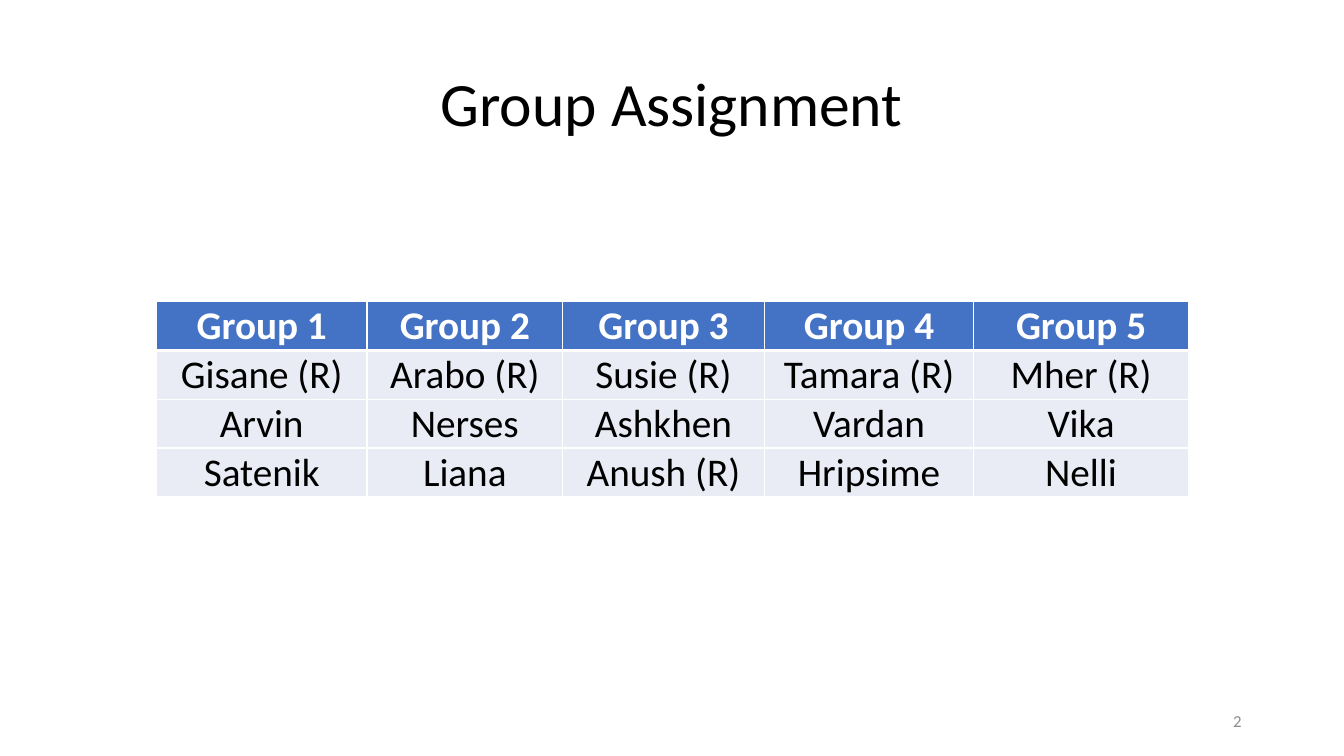
import pptx
import pptx.dml.color
import pptx.enum.text
import pptx.oxml
import pptx.oxml.ns
import pptx.util
from pptx.util import Cm

COLORS = {
    "black": "000000",
    "white": "FFFFFF",
    "header": "4472C4",
    "body": "E9EBF5",
    "page_number": "8C8C8C",
}
FONT = "Calibri"
GROUPS = [
    ["Group 1", "Group 2", "Group 3", "Group 4", "Group 5"],
    ["Gisane (R)", "Arabo (R)", "Susie (R)", "Tamara (R)", "Mher (R)"],
    ["Arvin", "Nerses", "Ashkhen", "Vardan", "Vika"],
    ["Satenik", "Liana", "Anush (R)", "Hripsime", "Nelli"],
]
GROUP_WIDTHS = [5.31, 4.93, 5.08, 5.28, 5.41]
ROW_HEIGHT = 1.23


def rgb(name):
    return pptx.dml.color.RGBColor.from_string(COLORS[name])


def write(frame, text, size=28, color="black", bold=False, align="CENTER", spacing=1.0):
    paragraph = frame.paragraphs[0]
    paragraph.alignment = getattr(pptx.enum.text.PP_ALIGN, align)
    paragraph.line_spacing = spacing
    run = paragraph.add_run()
    run.text = text
    run.font.name = FONT
    run.font.size = pptx.util.Pt(size)
    run.font.bold = bold
    run.font.color.rgb = rgb(color)


def add_label(slide, text, left, top, width, height, **text_format):
    label = slide.shapes.add_textbox(Cm(left), Cm(top), Cm(width), Cm(height))
    label.text_frame.word_wrap = True
    label.text_frame.vertical_anchor = pptx.enum.text.MSO_ANCHOR.MIDDLE
    write(label.text_frame, text, **text_format)


def set_borders(cell, top, bottom):
    properties = cell._tc.get_or_add_tcPr()
    for side, points in (("L", 1), ("R", 1), ("T", top), ("B", bottom)):
        properties.append(pptx.oxml.parse_xml(
            f'<a:ln{side} {pptx.oxml.ns.nsdecls("a")} w="{pptx.util.Pt(points)}">'
            f'<a:solidFill><a:srgbClr val="{COLORS["white"]}"/></a:solidFill>'
            f'</a:ln{side}>'
        ))


def add_group_table(slide, left, top):
    group_table = slide.shapes.add_table(
        len(GROUPS), len(GROUP_WIDTHS), Cm(left), Cm(top),
        Cm(sum(GROUP_WIDTHS)), Cm(ROW_HEIGHT * len(GROUPS)),
    ).table
    for column, width in zip(group_table.columns, GROUP_WIDTHS):
        column.width = Cm(width)
    for row_index, members in enumerate(GROUPS):
        is_header = row_index == 0
        group_table.rows[row_index].height = Cm(ROW_HEIGHT)
        for column_index, member in enumerate(members):
            cell = group_table.cell(row_index, column_index)
            cell.margin_left = cell.margin_right = cell.margin_top = Cm(0.02)
            cell.margin_bottom = Cm(0)
            cell.vertical_anchor = pptx.enum.text.MSO_ANCHOR.BOTTOM
            set_borders(cell, top=3 if row_index == 1 else 1, bottom=3 if is_header else 1)
            cell.fill.solid()
            cell.fill.fore_color.rgb = rgb("header" if is_header else "body")
            write(cell.text_frame, member, bold=is_header,
                  color="white" if is_header else "black")


def main():
    """Build the group assignment slide."""
    presentation = pptx.Presentation()
    presentation.slide_width = Cm(33.87)
    presentation.slide_height = Cm(19.05)
    slide = presentation.slides.add_slide(presentation.slide_layouts[6])
    add_label(slide, "Group Assignment", 2.33, 1.01, 29.21, 3.35, size=44, spacing=0.9)
    add_group_table(slide, 3.94, 7.6)
    add_label(slide, "2", 23.92, 17.66, 7.62, 1.01, size=12, color="page_number", align="RIGHT")
    presentation.save("out.pptx")


if __name__ == "__main__":
    main()
